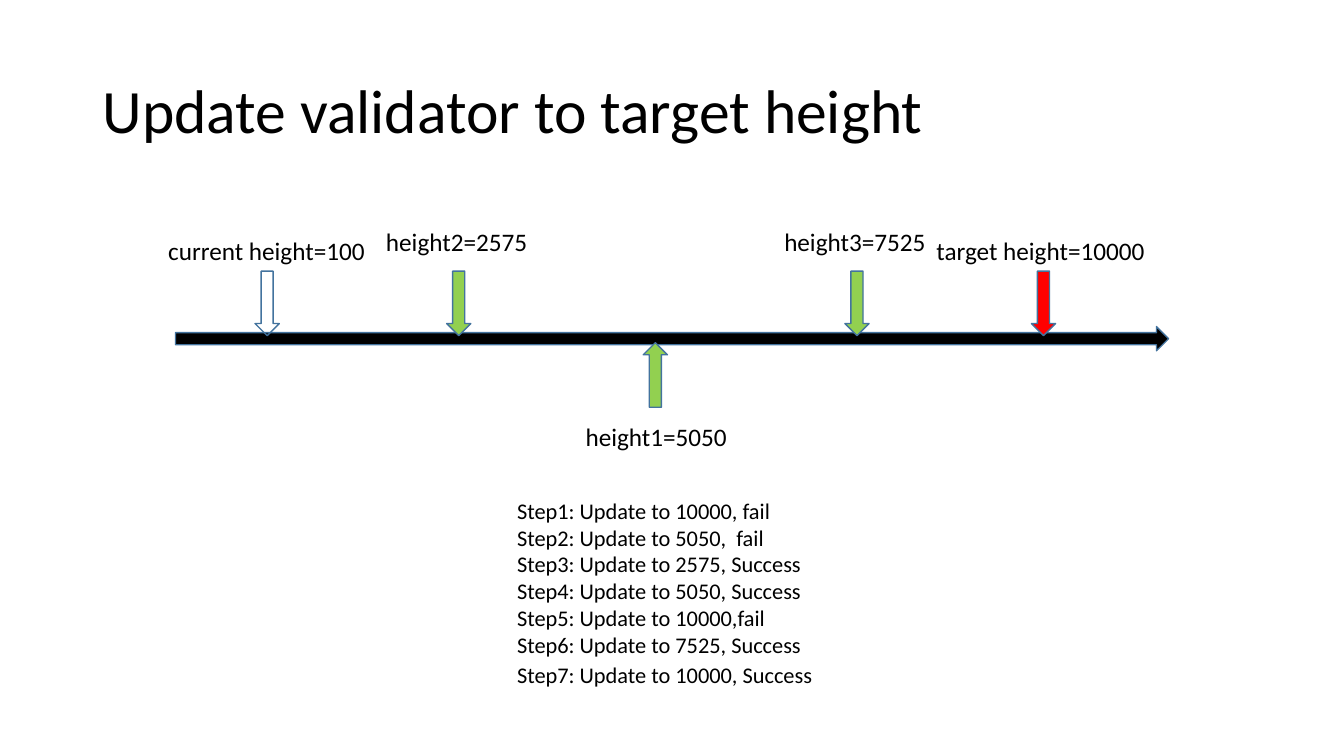
from dataclasses import dataclass

from pptx import Presentation
from pptx import util as u
from pptx.dml.color import RGBColor
from pptx.enum import shapes, text


@dataclass(frozen=True)
class Theme:
    font: str = "Calibri"
    ink: str = "000000"
    outline: str = "43739E"
    success: str = "92D050"
    target: str = "FF0000"
    title_size: int = 44
    label_size: int = 18
    step_size: int = 16


class SlideBuilder:
    """Draw themed elements on one slide, with lengths in px of 1/100 inch."""

    SCALE = 9144

    def __init__(self, presentation, theme):
        self.theme = theme
        self.slide = presentation.slides.add_slide(presentation.slide_layouts[6])

    def box(self, *lengths):
        return [u.Emu(length * self.SCALE) for length in lengths]

    def text(self, left, top, width, height, lines, size, anchor=text.MSO_ANCHOR.TOP):
        frame = self.slide.shapes.add_textbox(*self.box(left, top, width, height)).text_frame
        frame.word_wrap = True
        frame.vertical_anchor = anchor
        frame.text = "\n".join(lines)
        for paragraph in frame.paragraphs:
            for run in paragraph.runs:
                run.font.name = self.theme.font
                run.font.size = u.Pt(size)
                run.font.color.rgb = RGBColor.from_string(self.theme.ink)
        return frame.paragraphs

    def arrow(self, kind, left, top, width, height, fill=None):
        shape = self.slide.shapes.add_shape(kind, *self.box(left, top, width, height))
        shape.shadow.inherit = False
        if fill:
            shape.fill.solid()
            shape.fill.fore_color.rgb = RGBColor.from_string(fill)
        else:
            shape.fill.background()
        shape.line.color.rgb = RGBColor.from_string(self.theme.outline)
        shape.line.width = u.Pt(1)

    def marker(self, label, label_left, label_top, label_width, arrow_left, fill, below=False):
        kind = shapes.MSO_SHAPE.UP_ARROW if below else shapes.MSO_SHAPE.DOWN_ARROW
        self.arrow(kind, arrow_left, 340 if below else 269, 24, 64, fill)
        self.text(label_left, label_top, label_width, 40, [label], self.theme.label_size)


def main():
    theme = Theme()
    presentation = Presentation()
    presentation.slide_width = u.Inches(13.33)
    presentation.slide_height = u.Inches(7.5)
    builder = SlideBuilder(presentation, theme)

    title = builder.text(92, 40, 1150, 145, ["Update validator to target height"],
                         theme.title_size, text.MSO_ANCHOR.MIDDLE)
    title[0].line_spacing = 0.9

    builder.arrow(shapes.MSO_SHAPE.RIGHT_ARROW, 174, 324, 985, 24, theme.ink)
    builder.marker("current height=100", 157, 229, 217, 253, None)
    builder.marker("target height=10000", 919, 229, 230, 1023, theme.target)
    builder.marker("height1=5050", 571, 413, 172, 638, theme.success, below=True)
    builder.marker("height2=2575", 373, 220, 172, 443, theme.success)
    builder.marker("height3=7525", 768, 220, 172, 838, theme.success)

    outcomes = ["10000, fail", "5050,  fail", "2575, Success", "5050, Success",
                "10000,fail", "7525, Success", "10000, Success"]
    steps = [f"Step{number}: Update to {outcome}"
             for number, outcome in enumerate(outcomes, start=1)]
    step_paragraphs = builder.text(503, 488, 327, 202, steps, theme.step_size)
    step_paragraphs[-1].space_before = u.Pt(2)

    presentation.save("out.pptx")


if __name__ == "__main__":
    main()
